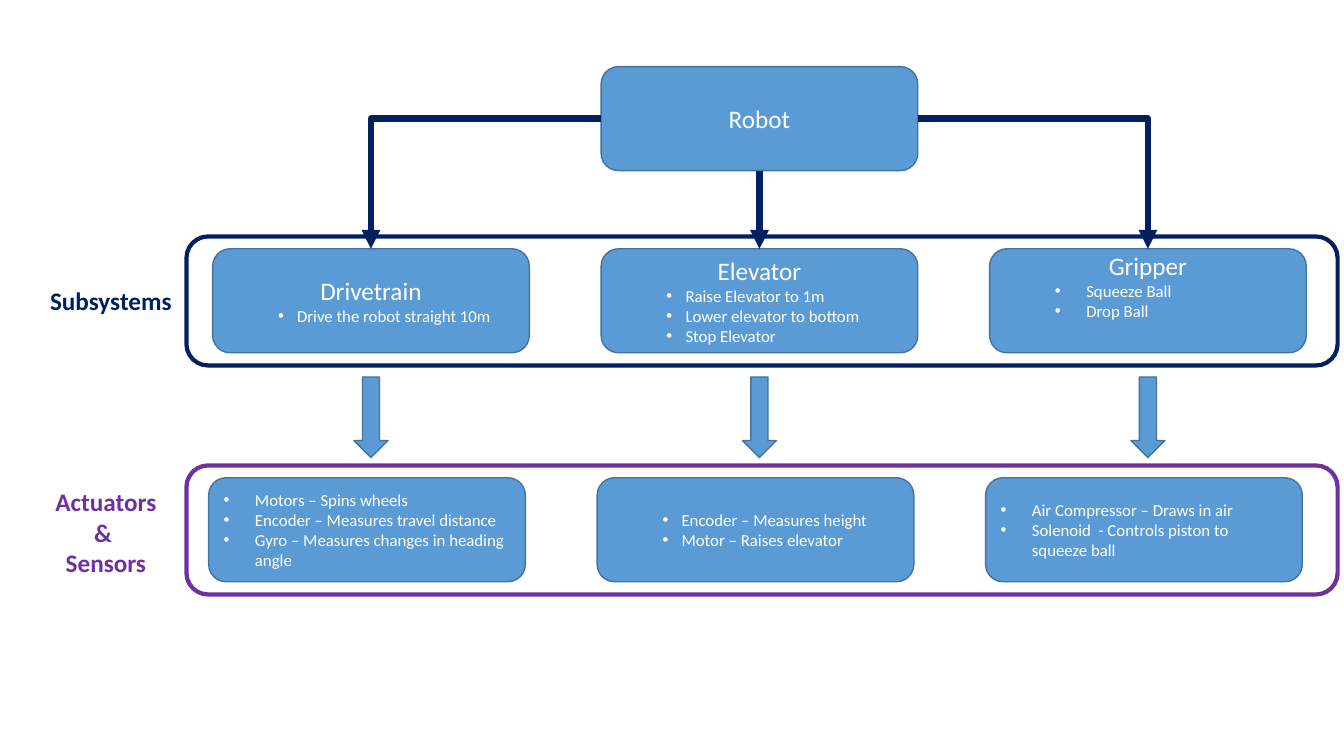
import lxml.etree
import pptx
import pptx.dml.color
import pptx.enum.shapes
import pptx.enum.text
import pptx.oxml.ns
import pptx.util

Cm = pptx.util.Cm
Pt = pptx.util.Pt
Color = pptx.dml.color.RGBColor.from_string
Shapes = pptx.enum.shapes.MSO_SHAPE
Connectors = pptx.enum.shapes.MSO_CONNECTOR
Align = pptx.enum.text.PP_ALIGN
Anchor = pptx.enum.text.MSO_ANCHOR
qn = pptx.oxml.ns.qn

theme = {
    "font": "Calibri",
    "title": Pt(18),
    "item": Pt(12),
    "box": Color("5B9BD5"),
    "outline": Color("43739E"),
    "text": Color("FFFFFF"),
    "navy": Color("002060"),
    "purple": Color("7030A0"),
}


def add_outlined(kind, left, top, width, height, fill, line, weight):
    shape = slide.shapes.add_shape(kind, Cm(left), Cm(top), Cm(width), Cm(height))
    shape.shadow.inherit = False
    if fill is None:
        shape.fill.background()
    else:
        shape.fill.solid()
        shape.fill.fore_color.rgb = fill
    shape.line.color.rgb = line
    shape.line.width = Pt(weight)
    return shape


def write_text(shape, titles, items, color, frame_format, bold=False, indent=(0, 0)):
    frame = shape.text_frame
    for name, value in frame_format.items():
        setattr(frame, name, value)
    for number, text in enumerate(titles + items):
        paragraph = frame.add_paragraph() if number else frame.paragraphs[0]
        is_item = number >= len(titles)
        paragraph.alignment = Align.LEFT if is_item else Align.CENTER
        run = paragraph.add_run()
        run.text = text
        font_format = {
            "name": theme["font"],
            "size": theme["item" if is_item else "title"],
            "bold": bold,
        }
        for name, value in font_format.items():
            setattr(run.font, name, value)
        run.font.color.rgb = color
        if is_item:
            properties = paragraph._p.get_or_add_pPr()
            properties.set("marL", str(Cm(indent[0])))
            properties.set("indent", str(Cm(-indent[1])))
            lxml.etree.SubElement(properties, qn("a:buFont")).set("typeface", "Arial")
            lxml.etree.SubElement(properties, qn("a:buChar")).set("char", "•")


presentation = pptx.Presentation()
presentation.slide_width = Cm(33.87)
presentation.slide_height = Cm(19.05)
slide = presentation.slides.add_slide(presentation.slide_layouts[6])

box_width, box_height = 7.98, 2.62
first_column, column_step = 5.36, 9.79
subsystem_top, actuator_top = 6.27, 12.04
arrow_width, arrow_height = 0.86, 2.03
hanging = (0.79, 0.79)
nested = (1.75, 0.48)
nested_wide = (2.06, 0.79)
box_style = (theme["box"], theme["outline"], 1)
box_format = {"word_wrap": True, "vertical_anchor": Anchor.MIDDLE}

robot = add_outlined(Shapes.ROUNDED_RECTANGLE, first_column + column_step, 1.68,
                     box_width, box_height, *box_style)
write_text(robot, ["Robot"], [], theme["text"], box_format)

columns = [
    ("Drivetrain", ["Drive the robot straight 10m"], nested, 0.13,
     ["Motors – Spins wheels", "Encoder – Measures travel distance",
      "Gyro – Measures changes in heading angle"], hanging),
    ("Elevator", ["Raise Elevator to 1m", "Lower elevator to bottom", "Stop Elevator"],
     nested, 0.13, ["Encoder – Measures height", "Motor – Raises elevator"], nested),
    ("Gripper", ["Squeeze Ball", "Drop Ball"], nested_wide, 0.9,
     ["Air Compressor – Draws in air",
      "Solenoid  - Controls piston to squeeze ball"], hanging),
]
subsystems = []
for number, (title, tasks, task_indent, bottom, parts, part_indent) in enumerate(columns):
    left = first_column + number * column_step
    subsystem = add_outlined(Shapes.ROUNDED_RECTANGLE, left, subsystem_top,
                             box_width, box_height, *box_style)
    write_text(subsystem, [title], tasks, theme["text"],
               {**box_format, "margin_bottom": Cm(bottom)}, indent=task_indent)
    subsystems.append(subsystem)
    add_outlined(Shapes.DOWN_ARROW, left + (box_width - arrow_width) / 2, 9.5,
                 arrow_width, arrow_height, *box_style)
    actuators = add_outlined(Shapes.ROUNDED_RECTANGLE, left - 0.1, actuator_top,
                             box_width, box_height, *box_style)
    write_text(actuators, [], parts, theme["text"], box_format, indent=part_indent)

top_site, left_site, bottom_site, right_site = range(4)
for subsystem, site in zip(subsystems, (left_site, bottom_site, right_site)):
    straight = site == bottom_site
    kind = Connectors.STRAIGHT if straight else Connectors.ELBOW
    connector = slide.shapes.add_connector(kind, 0, 0, 0, 0)
    connector.begin_connect(robot, site)
    connector.end_connect(subsystem, top_site)
    connector.line.color.rgb = theme["navy"]
    connector.line.width = Pt(4.5)
    properties = connector._element.spPr
    if not straight:
        properties.find(qn("a:prstGeom")).set("prst", "bentConnector2")
    line = properties.find(qn("a:ln"))
    lxml.etree.SubElement(line, qn("a:tailEnd")).set("type", "triangle")
    lxml.etree.SubElement(properties, qn("a:effectLst"))

bands = [
    (["Subsystems"], (0.99, 7.06, 3.61, 1.02), False, subsystem_top, theme["navy"]),
    (["Actuators & ", "Sensors"], (0.97, 12.14, 3.4, 2.57), True, actuator_top,
     theme["purple"]),
]
for lines, position, wrap, top, color in bands:
    label = slide.shapes.add_textbox(*map(Cm, position))
    write_text(label, lines, [], color, {"word_wrap": wrap}, bold=True)
    add_outlined(Shapes.ROUNDED_RECTANGLE, 4.7, top - 0.31, 29.01, 3.25, None, color, 3)

presentation.save("out.pptx")
